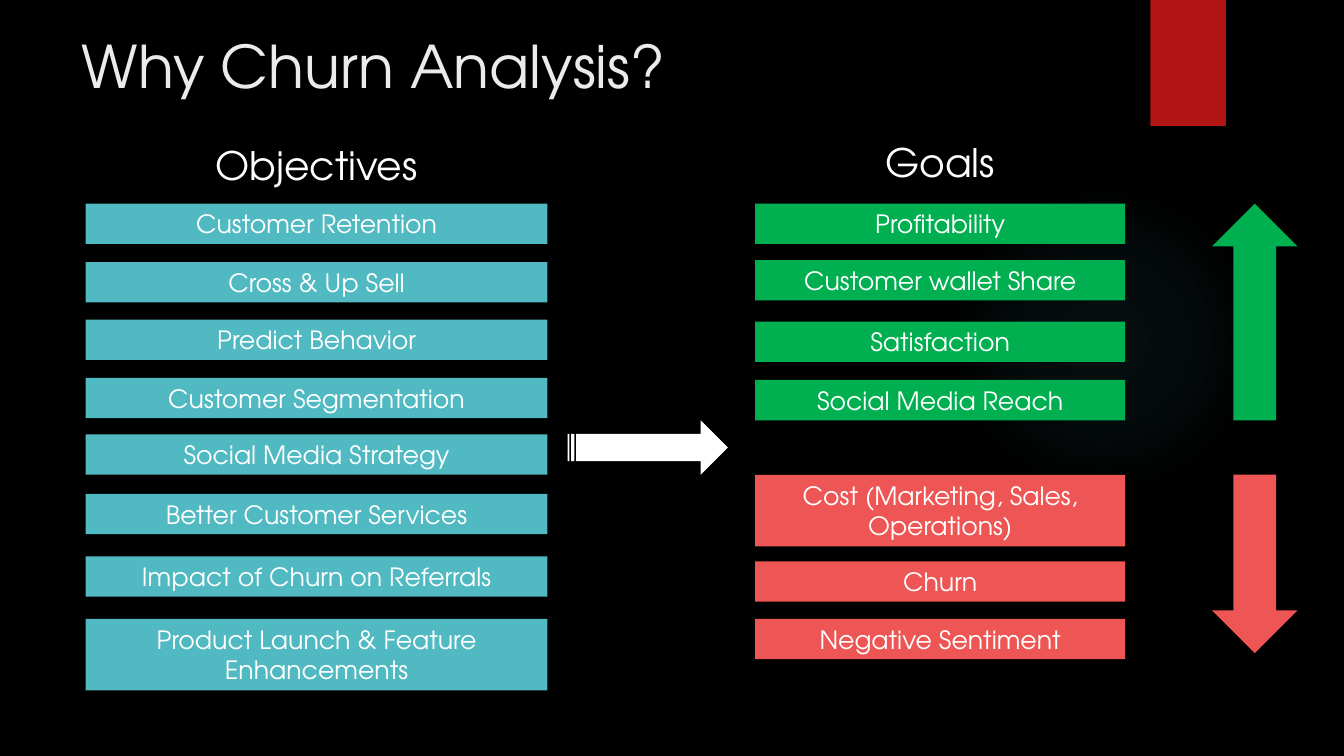
from dataclasses import dataclass

import lxml.etree
import pptx
import pptx.dml.color
import pptx.enum.shapes
import pptx.enum.text
import pptx.oxml
import pptx.util

Inches = pptx.util.Inches
SHAPES = pptx.enum.shapes.MSO_SHAPE
ALIGN = pptx.enum.text.PP_ALIGN
ANCHOR = pptx.enum.text.MSO_ANCHOR


@dataclass(frozen=True)
class Theme:
    font: str = "TeX Gyre Adventor"
    background: str = "000000"
    title: str = "EBEBEB"
    text: str = "FFFFFF"
    banner: str = "B01513"
    teal: str = "50B9C1"
    green: str = "00B050"
    red: str = "ED5654"
    title_size: int = 42
    heading_size: int = 28
    item_size: int = 18


THEME = Theme()
ROW = 0.4
TALL_ROW = 0.71

OBJECTIVES = [
    ("Customer Retention", 0, ROW),
    ("Cross & Up Sell", 0.58, ROW),
    ("Predict Behavior", 1.15, ROW),
    ("Customer Segmentation", 1.73, ROW),
    ("Social Media Strategy", 2.29, ROW),
    ("Better Customer Services", 2.88, ROW),
    ("Impact of Churn on Referrals", 3.5, ROW),
    ("Product Launch & Feature Enhancements", 4.12, TALL_ROW),
]
INCREASES = [
    ("Profitability", 0, ROW),
    ("Customer wallet Share", 0.56, ROW),
    ("Satisfaction", 1.17, ROW),
    ("Social Media Reach", 1.75, ROW),
]
DECREASES = [
    ("Cost (Marketing, Sales, Operations)", 0, TALL_ROW),
    ("Churn", 0.86, ROW),
    ("Negative Sentiment", 1.43, ROW),
]


def rgb(color):
    return pptx.dml.color.RGBColor.from_string(color)


def write(shape, text, size, color=THEME.text, align=ALIGN.CENTER, anchor=ANCHOR.MIDDLE):
    frame = shape.text_frame
    frame.word_wrap = True
    frame.auto_size = pptx.enum.text.MSO_AUTO_SIZE.NONE
    frame.vertical_anchor = anchor
    frame.margin_left = frame.margin_right = Inches(0.1)
    frame.margin_top = frame.margin_bottom = Inches(0.05)
    frame.text = text
    paragraph = frame.paragraphs[0]
    paragraph.alignment = align
    paragraph.font.name = THEME.font
    paragraph.font.size = pptx.util.Pt(size)
    paragraph.font.bold = False
    paragraph.font.color.rgb = rgb(color)


def add_block(slide, kind, box, color):
    block = slide.shapes.add_shape(kind, *map(Inches, box))
    block.shadow.inherit = False
    block.fill.solid()
    block.fill.fore_color.rgb = rgb(color)
    block.line.fill.background()
    return block


def add_glow(slide, box):
    glow = add_block(slide, SHAPES.OVAL, box, THEME.teal)
    stops = "".join(
        f'<a:gs pos="{position * 1000}"><a:srgbClr val="{THEME.teal}">'
        f'<a:alpha val="{opacity * 1000}"/></a:srgbClr></a:gs>'
        for position, opacity in [(0, 7), (36, 6), (69, 0), (100, 0)]
    )
    namespace = pptx.oxml.ns.nsdecls("a")
    gradient = lxml.etree.fromstring(
        f'<a:gradFill {namespace}><a:gsLst>{stops}</a:gsLst><a:path path="circle">'
        '<a:fillToRect l="50000" t="50000" r="50000" b="50000"/></a:path></a:gradFill>'
    )
    properties = glow.element.spPr
    properties.replace(properties.find(pptx.oxml.ns.qn("a:solidFill")), gradient)


def add_backdrop(slide):
    fill = slide.background.fill
    fill.solid()
    fill.fore_color.rgb = rgb(THEME.background)
    add_glow(slide, (9.41, 1.83, 3.08, 3.08))
    add_block(slide, SHAPES.RECTANGLE, (11.41, 0, 0.75, 1.25), THEME.banner)


def add_title(slide, box, text):
    title = slide.shapes.title
    title.left, title.top, title.width, title.height = map(Inches, box)
    write(title, text, THEME.title_size, color=THEME.title,
          align=ALIGN.LEFT, anchor=ANCHOR.TOP)


def add_heading(slide, box, text):
    heading = slide.shapes.add_textbox(*map(Inches, box))
    write(heading, text, THEME.heading_size)


def add_items(slide, box, items, color):
    left, top, width = box
    for text, offset, height in items:
        item = add_block(slide, SHAPES.RECTANGLE, (left, top + offset, width, height), color)
        write(item, text, THEME.item_size)


def add_objectives(slide, box):
    left, top, width = box
    add_heading(slide, (left, top, width, 0.57), "Objectives")
    add_items(slide, (left, top + 0.67, width), OBJECTIVES, THEME.teal)


def add_goals(slide, box):
    left, top, width = box
    arrow_left = left + width + 0.86
    add_heading(slide, (left, top, width, 0.57), "Goals")
    groups = [
        (INCREASES, 0.7, THEME.green, SHAPES.UP_ARROW, 2.15),
        (DECREASES, 3.39, THEME.red, SHAPES.DOWN_ARROW, 1.77),
    ]
    for items, offset, color, arrow, length in groups:
        add_items(slide, (left, top + offset, width), items, color)
        add_block(slide, arrow, (arrow_left, top + offset, 0.85, length), color)


def main():
    deck = pptx.Presentation()
    deck.slide_width = Inches(13.33)
    deck.slide_height = Inches(7.5)
    slide = deck.slides.add_slide(deck.slide_layouts[5])
    add_backdrop(slide)
    add_title(slide, (0.71, 0.24, 10.29, 1.79), "Why Churn Analysis?")
    add_objectives(slide, (0.85, 1.35, 4.58))
    add_goals(slide, (7.49, 1.32, 3.67))
    add_block(slide, SHAPES.STRIPED_RIGHT_ARROW, (5.63, 4.17, 1.59, 0.54), THEME.text)
    deck.save("out.pptx")


if __name__ == "__main__":
    main()
